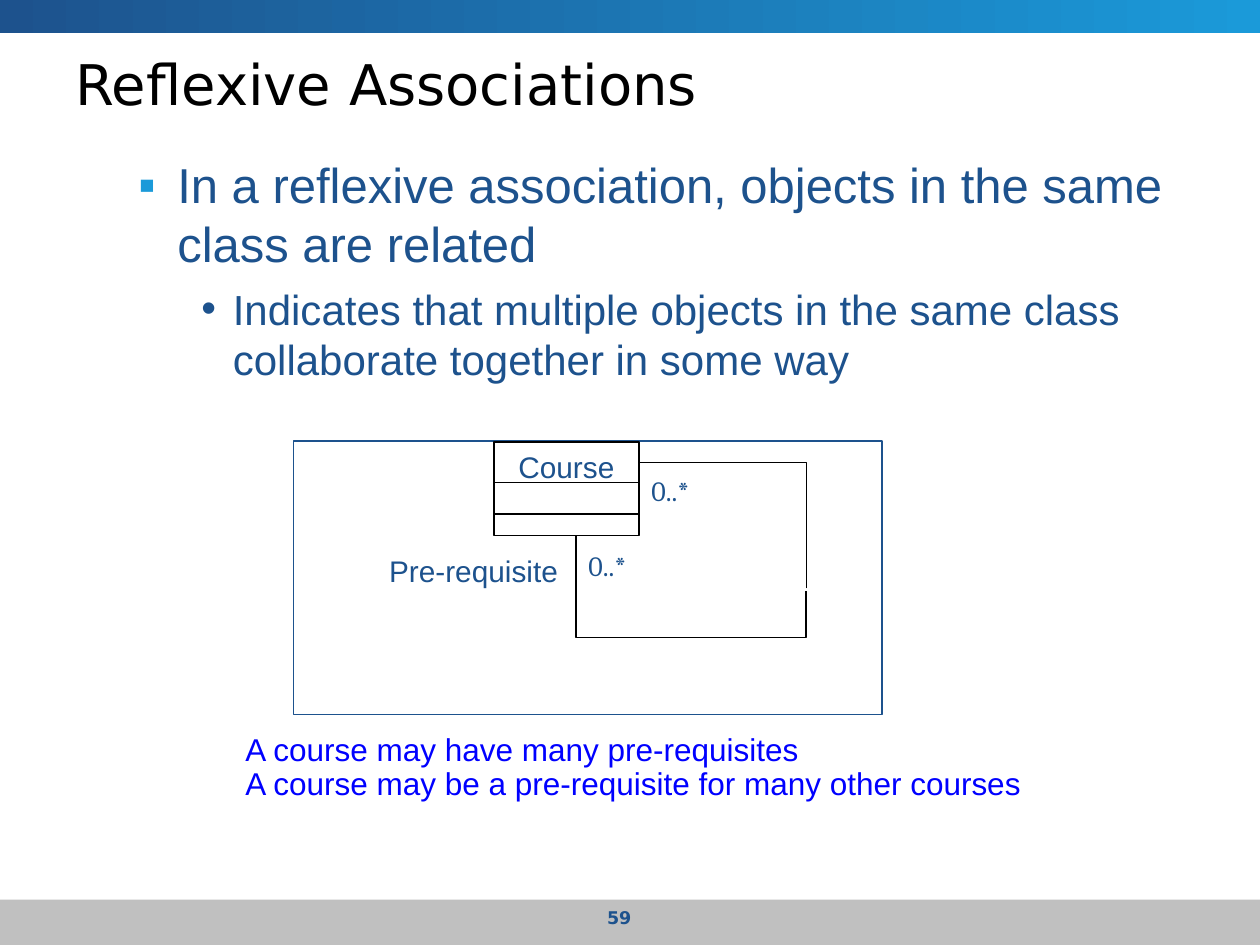
"""Build the Reflexive Associations slide with its course class diagram."""
from lxml.etree import SubElement
from pptx import Presentation
from pptx.dml.color import RGBColor
from pptx.enum.shapes import MSO_CONNECTOR, MSO_SHAPE
from pptx.enum.text import MSO_ANCHOR, PP_ALIGN
from pptx.oxml.ns import qn
from pptx.util import Inches, Pt

THEME = {
    "navy": RGBColor.from_string("1D528D"),
    "sky": RGBColor.from_string("1B9AD9"),
    "grey": RGBColor.from_string("C0C0C0"),
    "white": RGBColor.from_string("FFFFFF"),
    "black": RGBColor.from_string("000000"),
    "blue": RGBColor.from_string("0000FF"),
    "title": {"name": "DejaVu Sans", "size": Pt(32), "color": "black"},
    "point": {"name": "Arial", "size": Pt(28), "color": "navy"},
    "subpoint": {"name": "Arial", "size": Pt(24), "color": "navy"},
    "caption": {"name": "Arial", "size": Pt(18), "color": "blue"},
    "label": {"name": "Arial", "size": Pt(17), "color": "navy"},
    "multiplicity": {"name": "Cambria", "size": Pt(16), "color": "navy"},
    "number": {"name": "DejaVu Sans", "size": Pt(10), "bold": True, "color": "navy"},
}

TITLE = "Reflexive Associations"
POINTS = [
    {"text": "In a reflexive association, objects in the same class are related",
     "style": "point", "bullet": "▪", "bullet_color": "sky",
     "margin": 0.81, "indent": -0.31, "before": 0},
    {"text": "Indicates that multiple objects in the same class collaborate together in some way",
     "style": "subpoint", "bullet": "•", "bullet_color": "navy",
     "margin": 1.25, "indent": -0.25, "before": 6},
]
CAPTIONS = ["A course may have many pre-requisites",
            "A course may be a pre-requisite for many other courses"]
CLASS_NAME = "Course"
CLASS_BOX = (3.92, 3.51, 1.15, 0.74)
COMPARTMENTS = [3.83, 4.08]
ROLE = ("Pre-requisite", (2.99, 4.34, 1.54, 0.38))
MULTIPLICITIES = [("0..*", (5.12, 3.58, 0.41, 0.63)), ("0..*", (4.62, 4.17, 0.41, 0.63))]
LOOP = [
    [(6.4, 4.67), (6.4, 3.67), (5.08, 3.67)],
    [(6.4, 4.69), (6.4, 5.06), (4.57, 5.06), (4.57, 4.25)],
]


def apply_format(target, values):
    for attribute, value in values.items():
        if attribute == "color":
            target.color.rgb = THEME[value]
        else:
            setattr(target, attribute, value)


def write(shape, lines, style, wrap=True, inset=0.1, anchor=MSO_ANCHOR.TOP, **paragraph_format):
    frame = shape.text_frame
    apply_format(frame, {
        "text": "\n".join(lines), "word_wrap": wrap, "vertical_anchor": anchor,
        "margin_left": Inches(inset), "margin_right": Inches(inset),
        "margin_top": Inches(0.05), "margin_bottom": Inches(0.05),
    })
    for paragraph in frame.paragraphs:
        apply_format(paragraph, {"alignment": PP_ALIGN.LEFT, **paragraph_format})
        for run in paragraph.runs:
            apply_format(run.font, THEME[style])


def add_text(slide, box, lines, style, **options):
    text = slide.shapes.add_textbox(*map(Inches, box))
    write(text, lines, style, **options)
    return text


def add_box(slide, box, fill=None, line=None, width=1):
    panel = slide.shapes.add_shape(MSO_SHAPE.RECTANGLE, *map(Inches, box))
    panel.shadow.inherit = False
    if fill:
        panel.fill.solid()
        panel.fill.fore_color.rgb = THEME[fill]
    else:
        panel.fill.background()
    if line:
        apply_format(panel.line, {"color": line, "width": Pt(width)})
    else:
        panel.line.fill.background()
    return panel


def add_bands(slide):
    add_box(slide, (0, 7.14, 10, 0.36), "grey")
    header = add_box(slide, (0, 0, 10, 0.26))
    header.fill.gradient()
    header.fill.gradient_angle = 0
    for stop, color, position in zip(header.fill.gradient_stops, ("navy", "sky"), (0, 1)):
        stop.color.rgb = THEME[color]
        stop.position = position


def add_points(slide):
    body = add_text(slide, (0.5, 1.18, 9, 5.74), [point["text"] for point in POINTS], "point")
    for paragraph, point in zip(body.text_frame.paragraphs, POINTS):
        properties = paragraph._p.get_or_add_pPr()
        properties.set("marL", str(Inches(point["margin"])))
        properties.set("indent", str(Inches(point["indent"])))
        bullet_color = SubElement(properties, qn("a:buClr"))
        SubElement(bullet_color, qn("a:srgbClr"), val=str(THEME[point["bullet_color"]]))
        SubElement(properties, qn("a:buFont"), typeface="Arial")
        SubElement(properties, qn("a:buChar"), char=point["bullet"])
        paragraph.space_before = Pt(point["before"])
        apply_format(paragraph.runs[0].font, THEME[point["style"]])


def add_course(slide):
    course = add_box(slide, CLASS_BOX, line="black")
    write(course, [CLASS_NAME], "label", wrap=False, alignment=PP_ALIGN.CENTER)
    left, _, width, _ = CLASS_BOX
    for y in COMPARTMENTS:
        ends = map(Inches, (left, y, left + width, y))
        divider = slide.shapes.add_connector(MSO_CONNECTOR.STRAIGHT, *ends)
        apply_format(divider.line, {"color": "black", "width": Pt(1)})
        SubElement(divider._element.spPr, qn("a:effectLst"))


def add_loop(slide):
    for branch_points in LOOP:
        start, *corners = [(Inches(x), Inches(y)) for x, y in branch_points]
        builder = slide.shapes.build_freeform(*start)
        builder.add_line_segments(corners, close=False)
        branch = builder.convert_to_shape()
        branch.shadow.inherit = False
        branch.fill.background()
        apply_format(branch.line, {"color": "black", "width": Pt(1)})


def main():
    presentation = Presentation()
    apply_format(presentation, {"slide_width": Inches(10), "slide_height": Inches(7.5)})
    slide = presentation.slides.add_slide(presentation.slide_layouts[6])
    add_bands(slide)
    add_points(slide)
    add_box(slide, (2.33, 3.5, 4.67, 2.17), "white", "navy", 0.75)
    add_text(slide, (1.85, 5.78, 6.36, 0.63), CAPTIONS, "caption", wrap=False, line_spacing=0.9)
    add_course(slide)
    add_loop(slide)
    role, role_box = ROLE
    add_text(slide, role_box, [role], "label", wrap=False)
    for multiplicity, box in MULTIPLICITIES:
        add_text(slide, box, [multiplicity], "multiplicity", inset=0.05, anchor=MSO_ANCHOR.MIDDLE)
    add_text(slide, (0.5, 0.35, 9, 0.62), [TITLE], "title", anchor=MSO_ANCHOR.MIDDLE)
    add_text(slide, (3.75, 7.15, 2.33, 0.28), ["59"], "number", alignment=PP_ALIGN.CENTER)
    presentation.save("out.pptx")


if __name__ == "__main__":
    main()
